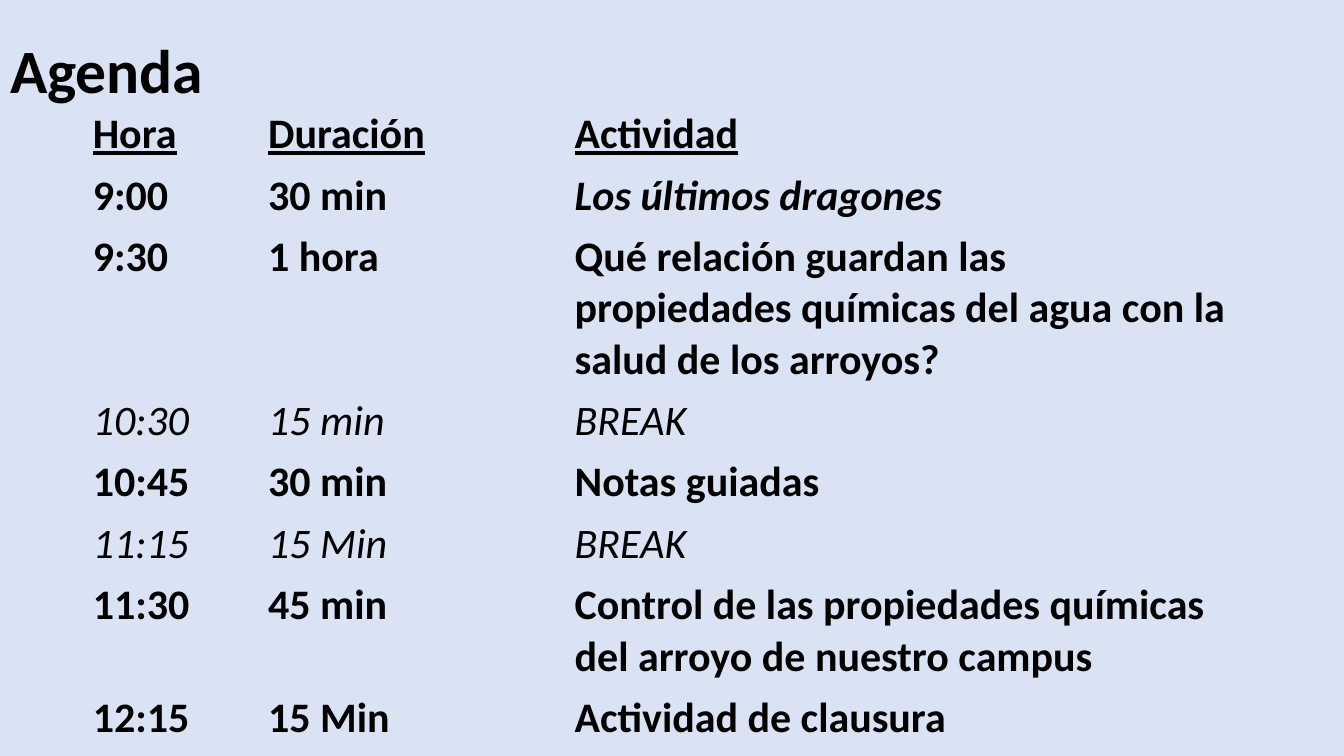
"""Build an agenda slide with a timetable of activities."""
from pptx import Presentation
from pptx.dml.color import RGBColor
from pptx.enum import text
from pptx.oxml import ns
from pptx.util import Pt

PX = 9144
BACKGROUND = RGBColor(0xDA, 0xE3, 0xF3)
BLACK = RGBColor(0, 0, 0)
FONT = "Calibri"
NO_GRID_STYLE = "{2D5ABB26-0587-4C30-8999-92F81FD0307C}"
COLUMN_WIDTHS = (174, 304, 673)
ROW_HEIGHT = 41
FILM = "Los últimos dragones"
BREAK = "BREAK"
AGENDA = (
    ("Hora", "Duración", "Actividad"),
    ("9:00", "30 min", FILM),
    ("9:30", "1 hora", "Qué relación guardan las propiedades químicas "
                       "del agua con la salud de los arroyos?"),
    ("10:30", "15 min", BREAK),
    ("10:45", "30 min", "Notas guiadas"),
    ("11:15", "15 Min", BREAK),
    ("11:30", "45 min", "Control de las propiedades químicas "
                        "del arroyo de nuestro campus"),
    ("12:15", "15 Min", "Actividad de clausura"),
)


def place(shape, left, top, width, height):
    shape.left, shape.top = left * PX, top * PX
    shape.width, shape.height = width * PX, height * PX


def write(tf, content, size, bold=True, italic=False, underline=False):
    tf.text = content
    p = tf.paragraphs[0]
    p.alignment = text.PP_ALIGN.LEFT
    font = p.runs[0].font
    font.name, font.size = FONT, Pt(size)
    font.bold, font.italic, font.underline = bold, italic, underline
    font.color.rgb = BLACK
    return p


def add_title(s, content):
    title = s.shapes.title
    place(title, 0, 0, 1150, 145)
    tf = title.text_frame
    tf.vertical_anchor = text.MSO_ANCHOR.MIDDLE
    write(tf, content, 44).line_spacing = 0.9


def add_agenda(s, rows):
    frame = s.shapes.add_table(
        len(rows), len(COLUMN_WIDTHS), 82 * PX, 103 * PX,
        sum(COLUMN_WIDTHS) * PX, len(rows) * ROW_HEIGHT * PX)
    table = frame.table
    table.first_row = table.horz_banding = False
    table._tbl.tblPr.find(ns.qn("a:tableStyleId")).text = NO_GRID_STYLE
    for column, width in zip(table.columns, COLUMN_WIDTHS):
        column.width = width * PX
    for i, row in enumerate(rows):
        is_break = row[-1] == BREAK
        for j, content in enumerate(row):
            cell = table.cell(i, j)
            cell.fill.background()
            write(cell.text_frame, content, 30, bold=not is_break,
                  italic=is_break or content == FILM, underline=i == 0)


def main():
    prs = Presentation()
    prs.slide_width, prs.slide_height = 1333 * PX, 750 * PX
    s = prs.slides.add_slide(prs.slide_layouts[5])
    fill = s.background.fill
    fill.solid()
    fill.fore_color.rgb = BACKGROUND
    add_title(s, "Agenda")
    add_agenda(s, AGENDA)
    prs.save("out.pptx")


if __name__ == "__main__":
    main()
